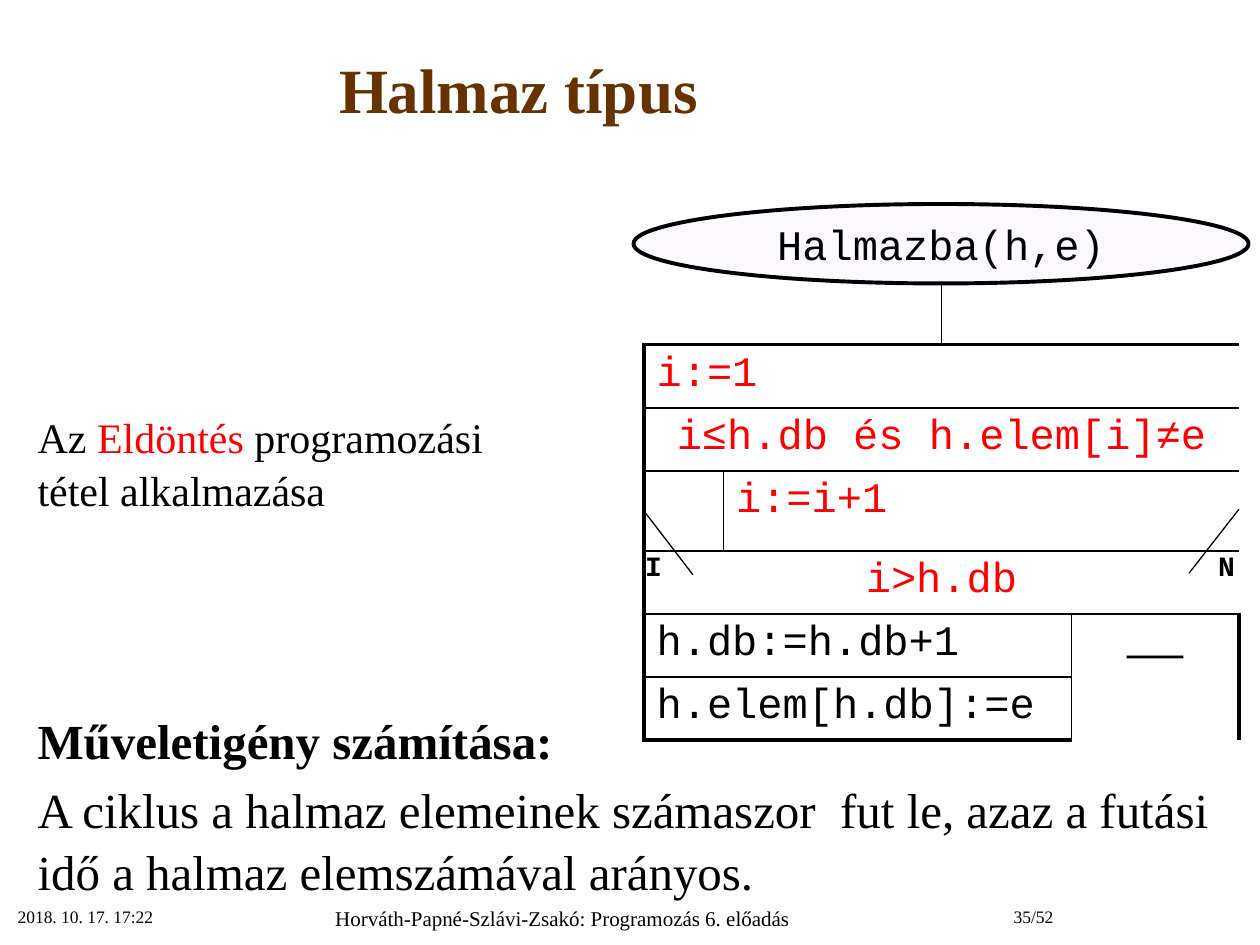
from pptx import Presentation
from pptx.dml.color import RGBColor
from pptx.enum.shapes import MSO_CONNECTOR, MSO_SHAPE
from pptx.enum.text import MSO_ANCHOR, PP_ALIGN
from pptx.oxml.ns import qn
from pptx.util import Pt
from lxml.etree import SubElement

SERIF, MONO = "Times New Roman", "Courier New"
BLACK, RED, BROWN, LILAC = "000000", "FF0000", "663300", "F3E8FE"
LEFT, CENTER, RIGHT = PP_ALIGN.LEFT, PP_ALIGN.CENTER, PP_ALIGN.RIGHT
PLAIN_TABLE = "{2D5ABB26-0587-4C30-8999-92F81FD0307C}"


def paint(target, color):
    target.rgb = RGBColor.from_string(color)


def write(para, text, size=24, font=SERIF, color=BLACK, bold=False, align=LEFT):
    para.alignment = align
    parts = text if isinstance(text, list) else [(text, color)]
    for words, shade in parts:
        for index, line in enumerate(words.split("\n")):
            if index:
                para.add_line_break()
            span = para.add_run()
            span.text = line
            span.font.size, span.font.name, span.font.bold = Pt(size), font, bold
            paint(span.font.color, shade)


class Structogram:
    """Draws the elements of one slide in a shared style."""

    def __init__(self, page, thick=2.25, thin=1):
        self.page = page
        self.widths = {"thick": thick, "thin": thin}

    def text(self, place, *texts, anchor=MSO_ANCHOR.TOP, spacing=None, gap=0, **style):
        box = self.page.shapes.add_textbox(*map(Pt, place))
        frame = box.text_frame
        frame.word_wrap = True
        frame.vertical_anchor = anchor
        for index, text in enumerate(texts):
            para = frame.add_paragraph() if index else frame.paragraphs[0]
            if index:
                para.space_before = Pt(gap)
            if spacing:
                para.line_spacing = spacing
            kind = text if isinstance(text, dict) else {"text": text}
            write(para, **{**style, **kind})

    def ellipse(self, place, text, fill, alpha, **style):
        shape = self.page.shapes.add_shape(MSO_SHAPE.OVAL, *map(Pt, place))
        shape.shadow.inherit = False
        shape.fill.solid()
        paint(shape.fill.fore_color, fill)
        tint = shape.fill._xPr.find(".//" + qn("a:srgbClr"))
        SubElement(tint, qn("a:alpha")).set("val", str(alpha * 1000))
        paint(shape.line.color, BLACK)
        shape.line.width = Pt(self.widths["thick"])
        shape.text_frame.word_wrap = False
        shape.text_frame.vertical_anchor = MSO_ANCHOR.MIDDLE
        write(shape.text_frame.paragraphs[0], text, **style)

    def line(self, start, end):
        line = self.page.shapes.add_connector(
            MSO_CONNECTOR.STRAIGHT, *map(Pt, (*start, *end)))
        paint(line.line.color, BLACK)
        line.line.width = Pt(0.75)
        SubElement(line._element.spPr, qn("a:effectLst"))

    def borders(self, cell, edges):
        """Uppercase edge letters are thick, lowercase ones thin."""
        properties = cell._tc.get_or_add_tcPr()
        for side in "LRTB":
            if side not in edges.upper():
                continue
            width = self.widths["thick" if side in edges else "thin"]
            edge = SubElement(properties, qn("a:ln" + side), w=str(Pt(width)))
            fill = SubElement(edge, qn("a:solidFill"))
            SubElement(fill, qn("a:srgbClr"), val=BLACK)

    def table(self, left, top, columns, rows, cells):
        frame = self.page.shapes.add_table(
            len(rows), len(columns), *map(Pt, (left, top, sum(columns), sum(rows))))
        table = frame.table
        table.first_row = table.horz_banding = False
        table._tbl.tblPr.find(qn("a:tableStyleId")).text = PLAIN_TABLE
        for column, width in zip(table.columns, columns):
            column.width = Pt(width)
        for row, height in zip(table.rows, rows):
            row.height = Pt(height)
        for row, column, down, across, edges, text, style in cells:
            last_row, last_column = row + down - 1, column + across - 1
            cell = table.cell(row, column)
            if down * across > 1:
                cell.merge(table.cell(last_row, last_column))
            for r in range(row, last_row + 1):
                for c in range(column, last_column + 1):
                    limits = {"L": c == column, "R": c == last_column,
                              "T": r == row, "B": r == last_row}
                    part = table.cell(r, c)
                    self.borders(part, [e for e in edges if limits[e.upper()]]
                                 and "".join(e for e in edges if limits[e.upper()]))
                    part.fill.background()
            if text:
                write(cell.text_frame.paragraphs[0], text, **{"font": MONO, **style})


def main():
    deck = Presentation()
    deck.slide_width, deck.slide_height = Pt(720), Pt(540)
    page = deck.slides.add_slide(deck.slide_layouts[6])
    chart = Structogram(page)

    chart.text((0, 6.5, 592.5, 88), "Halmaz típus", anchor=MSO_ANCHOR.MIDDLE,
               size=36, color=BROWN, bold=True, align=CENTER)
    chart.text((3, 514, 150, 26), "2018. 10. 17. 17:22", size=10)
    chart.text((152.5, 514, 338, 26),
               "Horváth-Papné-Szlávi-Zsakó: Programozás 6. előadás",
               size=12, align=CENTER)
    chart.text((14.4, 230, 340, 66),
               [("Az ", BLACK), ("Eldöntés", RED),
                (" programozási\ntétel alkalmazása", BLACK)], spacing=1.05)
    chart.text((14.4, 401, 692, 120),
               {"text": "Műveletigény számítása:", "bold": True},
               "A ciklus a halmaz elemeinek számaszor  fut le, azaz a futási "
               "idő a halmaz elemszámával arányos.",
               size=28, spacing=1.05, gap=4)

    red, centered = {"color": RED}, {"color": RED, "align": CENTER}
    dash = {"font": SERIF, "size": 32, "align": CENTER}
    chart.table(368, 161, (45.4, 124.6, 74.2, 95.8), (36, 36, 36, 45.7, 36, 36, 36), [
        (0, 0, 1, 2, "rB", "", {}),
        (0, 2, 1, 2, "lB", "", {}),
        (1, 0, 1, 4, "LTRb", "i:=1", red),
        (2, 0, 1, 4, "LtR", "i≤h.db és h.elem[i]≠e", centered),
        (3, 0, 1, 1, "Lrb", "", {}),
        (3, 1, 1, 3, "ltRb", "i:=i+1", red),
        (4, 0, 1, 4, "LtRb", "i>h.db", centered),
        (5, 0, 1, 3, "Ltrb", "h.db:=h.db+1", {}),
        (5, 3, 2, 1, "ltRB", "―", dash),
        (6, 0, 1, 3, "LtrB", "h.elem[h.db]:=e", {}),
    ])
    chart.ellipse((362, 116.6, 351.5, 45.4), "Halmazba(h,e)", LILAC, 30,
                  font=MONO, align=CENTER)
    chart.line((368, 292), (396, 328.5))
    chart.line((708, 291), (679.5, 327.5))
    chart.text((517.5, 514, 91.5, 26), "35/52", size=10, align=RIGHT)
    for left, answer in ((361.5, "I"), (689, "N")):
        chart.text((left, 310, 23, 26.5), answer, size=16, font=MONO, bold=True)

    deck.save("out.pptx")


if __name__ == "__main__":
    main()
